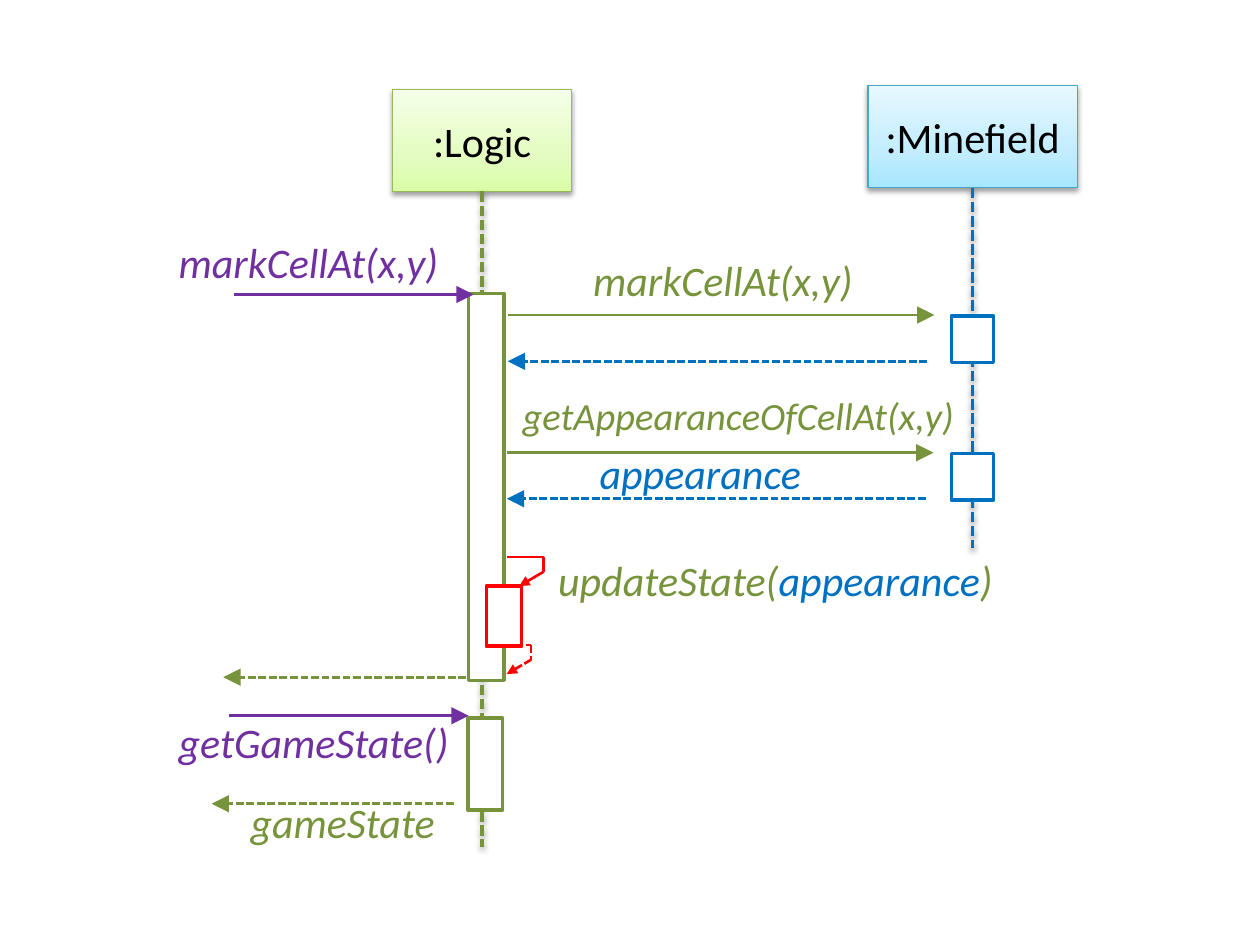
from copy import deepcopy
from dataclasses import dataclass

from lxml import etree
from pptx import Presentation
from pptx.dml.color import RGBColor
from pptx.enum.dml import MSO_LINE
from pptx.enum.shapes import MSO_CONNECTOR, MSO_SHAPE
from pptx.enum.text import MSO_ANCHOR, PP_ALIGN
from pptx.oxml.ns import qn
from pptx.util import Pt

STRAIGHT = MSO_CONNECTOR.STRAIGHT
RECTANGLE = MSO_SHAPE.RECTANGLE
DASHED = MSO_LINE.SQUARE_DOT
MIDDLE = MSO_ANCHOR.MIDDLE
CENTER = PP_ALIGN.CENTER
BOTTOM_SIDE = 2

BLACK = RGBColor(0x00, 0x00, 0x00)
WHITE = RGBColor(0xFF, 0xFF, 0xFF)
GREEN = RGBColor(0x77, 0x93, 0x3C)
BLUE = RGBColor(0x00, 0x70, 0xC0)
PURPLE = RGBColor(0x70, 0x30, 0xA0)
RED = RGBColor(0xFF, 0x00, 0x00)
GREEN_BORDER = RGBColor(0x98, 0xB9, 0x55)
BLUE_BORDER = RGBColor(0x46, 0xAA, 0xC5)
GREEN_SHADES = (RGBColor(0xDA, 0xFD, 0xA7), RGBColor(0xE4, 0xFC, 0xC2),
                RGBColor(0xF5, 0xFF, 0xE7))
BLUE_SHADES = (RGBColor(0xA7, 0xE6, 0xFF), RGBColor(0xC1, 0xED, 0xFF),
               RGBColor(0xE7, 0xF8, 0xFF))
SHADE_POSITIONS = (0, 0.35, 1)
FONT = "Calibri"


@dataclass
class Participant:
    name: str
    center: float
    top: float
    width: float
    lifeline_end: float
    color: RGBColor
    border: RGBColor
    shades: tuple[RGBColor, ...]
    height: float = 58.3


@dataclass
class Activation:
    left: float
    top: float
    width: float
    height: float
    color: RGBColor


@dataclass
class Message:
    start: float
    end: float
    y: float
    color: RGBColor
    dashed: bool = False


@dataclass
class Label:
    left: float
    top: float
    width: float
    runs: tuple[tuple[str, RGBColor], ...]
    size: float = 24


@dataclass
class SelfMessage:
    left: float
    top: float
    dashed: bool


PARTICIPANTS = (
    Participant(":Minefield", 555.8, 49, 119.5, 313.2, BLUE, BLUE_BORDER, BLUE_SHADES),
    Participant(":Logic", 275.5, 51.1, 102.2, 483.8, GREEN, GREEN_BORDER, GREEN_SHADES),
)
ACTIVATIONS = (
    Activation(267.8, 167.8, 20.2, 221, GREEN),
    Activation(267.5, 410.4, 19.6, 52.6, GREEN),
    Activation(543.7, 180.7, 24, 26.5, BLUE),
    Activation(543.7, 259.2, 24, 26.5, BLUE),
)
UPDATE_ACTIVATION = Activation(277.9, 334.8, 20.2, 34.5, RED)
MESSAGES = (
    Message(134, 270.7, 168.3, PURPLE),
    Message(290.5, 534, 180, GREEN),
    Message(529.8, 290.2, 206.5, BLUE, True),
    Message(289.5, 533.4, 258.7, GREEN),
    Message(529, 289.6, 285, BLUE, True),
    Message(266.4, 127.6, 387, GREEN, True),
    Message(131, 267.8, 409, PURPLE),
    Message(259.4, 120.9, 459.3, GREEN, True),
)
LABELS = (
    Label(95, 131.8, 167, (("markCellAt(x,y)", PURPLE),)),
    Label(331.9, 141.8, 168.5, (("markCellAt(x,y)", GREEN),)),
    Label(291.6, 220.3, 273, (("getAppearanceOfCellAt(x,y)", GREEN),), 22),
    Label(335.5, 252, 166.3, (("appearance", BLUE),)),
    Label(311.8, 313.2, 297.4,
          (("updateState(", GREEN), ("appearance", BLUE), (")", GREEN))),
    Label(95, 406.1, 185.8, (("getGameState()", PURPLE),)),
    Label(136.1, 451.4, 125.3, (("gameState", GREEN),)),
)
SELF_MESSAGES = (SelfMessage(289.5, 318.4, False), SelfMessage(282.3, 368.7, True))


def add_shadow(shape) -> None:
    properties = shape._element.spPr
    for effects in properties.findall(qn("a:effectLst")):
        properties.remove(effects)
    effects = etree.SubElement(properties, qn("a:effectLst"))
    shadow = etree.SubElement(effects, qn("a:outerShdw"), blurRad="40000",
                              dist="20000", dir="5400000", rotWithShape="0")
    color = etree.SubElement(shadow, qn("a:srgbClr"), val="000000")
    etree.SubElement(color, qn("a:alpha"), val="38000")


def add_line(shapes, start: tuple[float, float], end: tuple[float, float],
             color: RGBColor, width: float = 1.5, dashed: bool = False,
             head: str | None = None):
    connector = shapes.add_connector(STRAIGHT, *map(Pt, start + end))
    connector.line.color.rgb = color
    connector.line.width = Pt(width)
    if dashed:
        connector.line.dash_style = DASHED
    if head:
        etree.SubElement(connector.line._get_or_add_ln(), qn("a:tailEnd"),
                         type="triangle", w=head, len=head)
    etree.SubElement(connector._element.spPr, qn("a:effectLst"))
    return connector


def add_rectangle(shapes, left: float, top: float, width: float, height: float,
                  border: RGBColor, border_width: float):
    shape = shapes.add_shape(RECTANGLE, Pt(left), Pt(top), Pt(width), Pt(height))
    shape.shadow.inherit = False
    shape.fill.solid()
    shape.fill.fore_color.rgb = WHITE
    shape.line.color.rgb = border
    shape.line.width = Pt(border_width)
    return shape


def add_run(paragraph, text: str, size: float, color: RGBColor, italic: bool) -> None:
    run = paragraph.add_run()
    run.text = text
    run.font.name = FONT
    run.font.size = Pt(size)
    run.font.italic = italic
    run.font.color.rgb = color


def add_participant(shapes, participant: Participant) -> None:
    box = add_rectangle(shapes, participant.center - participant.width / 2,
                        participant.top, participant.width, participant.height,
                        participant.border, 0.75)
    box.fill.gradient()
    box.fill.gradient_angle = 90
    stop_list = box._element.spPr.find(".//" + qn("a:gsLst"))
    stop_list.insert(1, deepcopy(stop_list[0]))
    for stop, position, shade in zip(box.fill.gradient_stops, SHADE_POSITIONS,
                                     participant.shades):
        stop.position = position
        stop.color.rgb = shade
    add_shadow(box)
    box.text_frame.vertical_anchor = MIDDLE
    paragraph = box.text_frame.paragraphs[0]
    paragraph.alignment = CENTER
    add_run(paragraph, participant.name, 24, BLACK, False)
    lifeline = add_line(shapes, (participant.center, participant.top + participant.height),
                        (participant.center, participant.lifeline_end),
                        participant.color, 2, True)
    lifeline.begin_connect(box, BOTTOM_SIDE)
    add_shadow(lifeline)


def add_activation(shapes, bar: Activation) -> None:
    add_rectangle(shapes, bar.left, bar.top, bar.width, bar.height, bar.color, 2)


def add_message(shapes, message: Message) -> None:
    add_line(shapes, (message.start, message.y), (message.end, message.y),
             message.color, dashed=message.dashed, head="lg")


def add_label(shapes, label: Label) -> None:
    box = shapes.add_textbox(Pt(label.left), Pt(label.top), Pt(label.width),
                             Pt(label.size * 1.2 + 7.2))
    box.text_frame.word_wrap = True
    for text, color in label.runs:
        add_run(box.text_frame.paragraphs[0], text, label.size, color, True)


def add_self_message(shapes, message: SelfMessage) -> None:
    group = shapes.add_group_shape()
    right, turn = message.left + 21.2, message.top + 8.3
    corners = ((message.left, message.top), (right, message.top), (right, turn),
               (message.left + 7.2, message.top + 16.5))
    for start, end, head in zip(corners, corners[1:], (None, None, "med")):
        add_line(group.shapes, start, end, RED, dashed=message.dashed, head=head)


def main() -> None:
    presentation = Presentation()
    presentation.slide_width, presentation.slide_height = Pt(720), Pt(540)
    slide = presentation.slides.add_slide(presentation.slide_layouts[6])
    for draw, items in ((add_participant, PARTICIPANTS), (add_activation, ACTIVATIONS),
                        (add_message, MESSAGES), (add_label, LABELS),
                        (add_self_message, SELF_MESSAGES)):
        for item in items:
            draw(slide.shapes, item)
    add_activation(slide.shapes, UPDATE_ACTIVATION)
    presentation.save("out.pptx")


if __name__ == "__main__":
    main()
